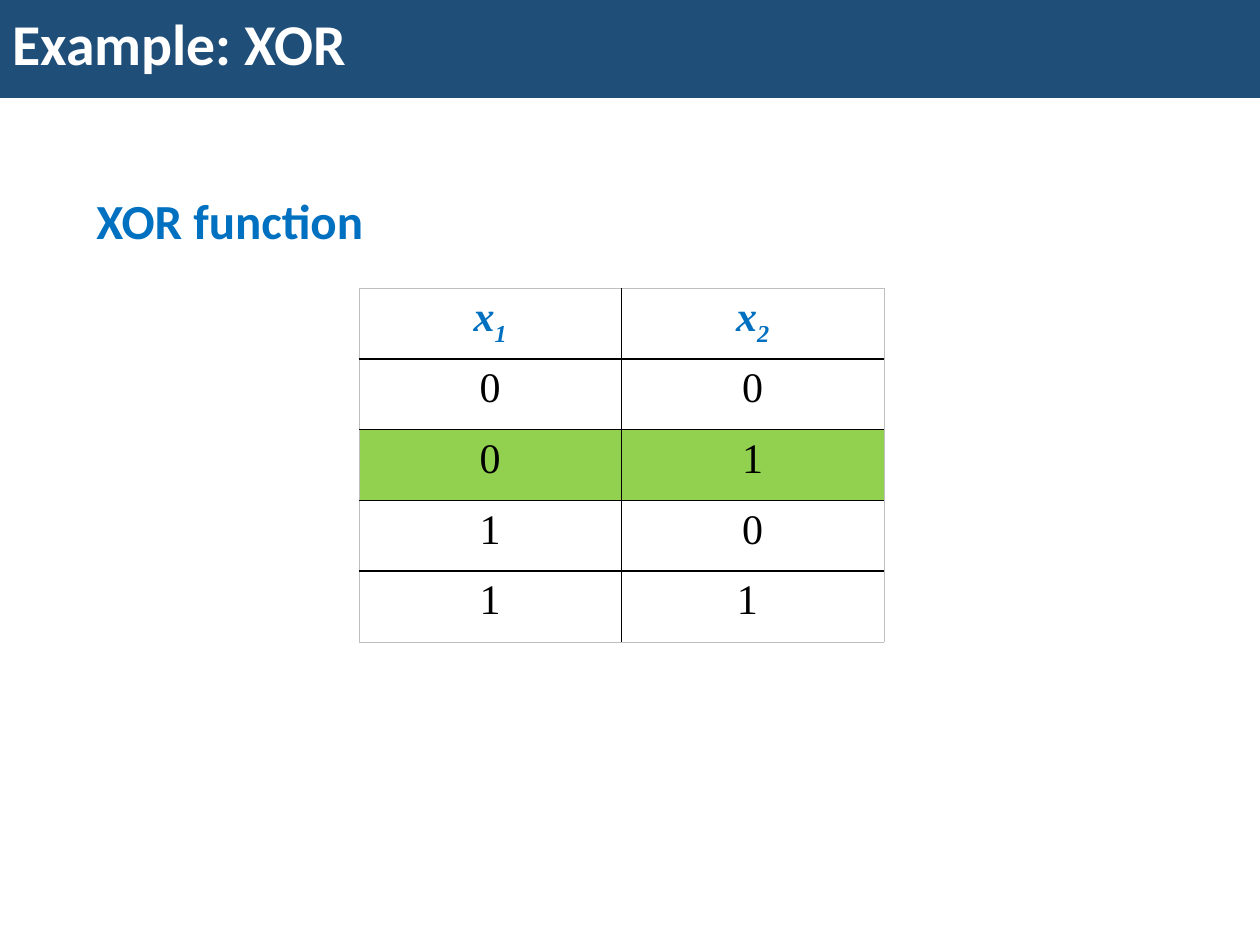
from lxml import etree
from pptx import Presentation
from pptx.dml.color import RGBColor
from pptx.enum.text import MSO_ANCHOR, MSO_AUTO_SIZE, PP_ALIGN
from pptx.oxml.ns import qn
from pptx.util import Pt

PX = 914400 / 126
LEFT, CENTER = PP_ALIGN.LEFT, PP_ALIGN.CENTER
MIDDLE = MSO_ANCHOR.MIDDLE
NO_FIT, GROW = MSO_AUTO_SIZE.NONE, MSO_AUTO_SIZE.SHAPE_TO_FIT_TEXT
SANS, SERIF = "Calibri", "Times New Roman"
NAVY, BLUE, GREEN = "1F4E79", "0070C0", "92D050"
WHITE, BLACK, GREY = "FFFFFF", "000000", "BFBFBF"

HEADERS = [("x", "1"), ("x", "2")]
ROWS = [("0", "0"), ("0", "1"), ("1", "0"), ("1", "1 ")]
MARKED_ROW = 2


def px(n):
    return round(n * PX)


def rgb(color):
    return RGBColor.from_string(color)


def add_text(p, text, font=SANS, size=24, color=BLACK, bold=False,
             italic=False, baseline=0, align=LEFT):
    p.alignment = align
    r = p.add_run()
    r.text = text
    r.font.name, r.font.size = font, Pt(size)
    r.font.bold, r.font.italic = bold, italic
    r.font.color.rgb = rgb(color)
    if baseline:
        r.font._element.set("baseline", str(baseline * 1000))


def set_border(cell, side, color, width):
    ln = etree.SubElement(cell._tc.get_or_add_tcPr(), qn(f"a:ln{side}"), w=str(Pt(width)))
    fill = etree.SubElement(ln, qn("a:solidFill"))
    etree.SubElement(fill, qn("a:srgbClr"), val=color)


def add_title(s, x, y, w, h):
    sp = s.shapes.title
    sp.left, sp.top, sp.width, sp.height = map(px, (x, y, w, h))
    sp.fill.solid()
    sp.fill.fore_color.rgb = rgb(NAVY)
    tf = sp.text_frame
    tf.auto_size, tf.vertical_anchor = NO_FIT, MIDDLE
    p = tf.paragraphs[0]
    p.line_spacing = 0.9
    add_text(p, "Example: XOR", size=33, color=WHITE, bold=True)


def add_heading(s, x, y, w, h):
    tf = s.shapes.add_textbox(*map(px, (x, y, w, h))).text_frame
    tf.word_wrap, tf.auto_size = True, GROW
    add_text(tf.paragraphs[0], "XOR function", size=28, color=BLUE, bold=True)


def add_truth_table(s, x, y, w, h):
    n_rows, n_cols = len(ROWS) + 1, len(HEADERS)
    table = s.shapes.add_table(n_rows, n_cols, *map(px, (x, y, w, h))).table
    table.first_row = table.horz_banding = False
    for i, row in enumerate([HEADERS, *ROWS]):
        for j, value in enumerate(row):
            cell = table.cell(i, j)
            outer = {"L": j == 0, "R": j == n_cols - 1,
                     "T": i == 0, "B": i == n_rows - 1}
            for side, is_outer in outer.items():
                set_border(cell, side, *((GREY, 0.5) if is_outer else (BLACK, 1)))
            if i == MARKED_ROW:
                cell.fill.solid()
                cell.fill.fore_color.rgb = rgb(GREEN)
            else:
                cell.fill.background()
            p = cell.text_frame.paragraphs[0]
            if i == 0:
                for text, baseline in zip(value, (0, -25)):
                    add_text(p, text, font=SERIF, color=BLUE, bold=True,
                             italic=True, baseline=baseline, align=CENTER)
            else:
                add_text(p, value, font=SERIF, align=CENTER)


def main():
    prs = Presentation()
    prs.slide_width, prs.slide_height = px(1260), px(945)
    s = prs.slides.add_slide(prs.slide_layouts[5])
    add_truth_table(s, 359, 288, 525, 354)
    add_heading(s, 84, 184, 1113, 72)
    add_title(s, 0, -5, 1260, 103)
    prs.save("out.pptx")


if __name__ == "__main__":
    main()
